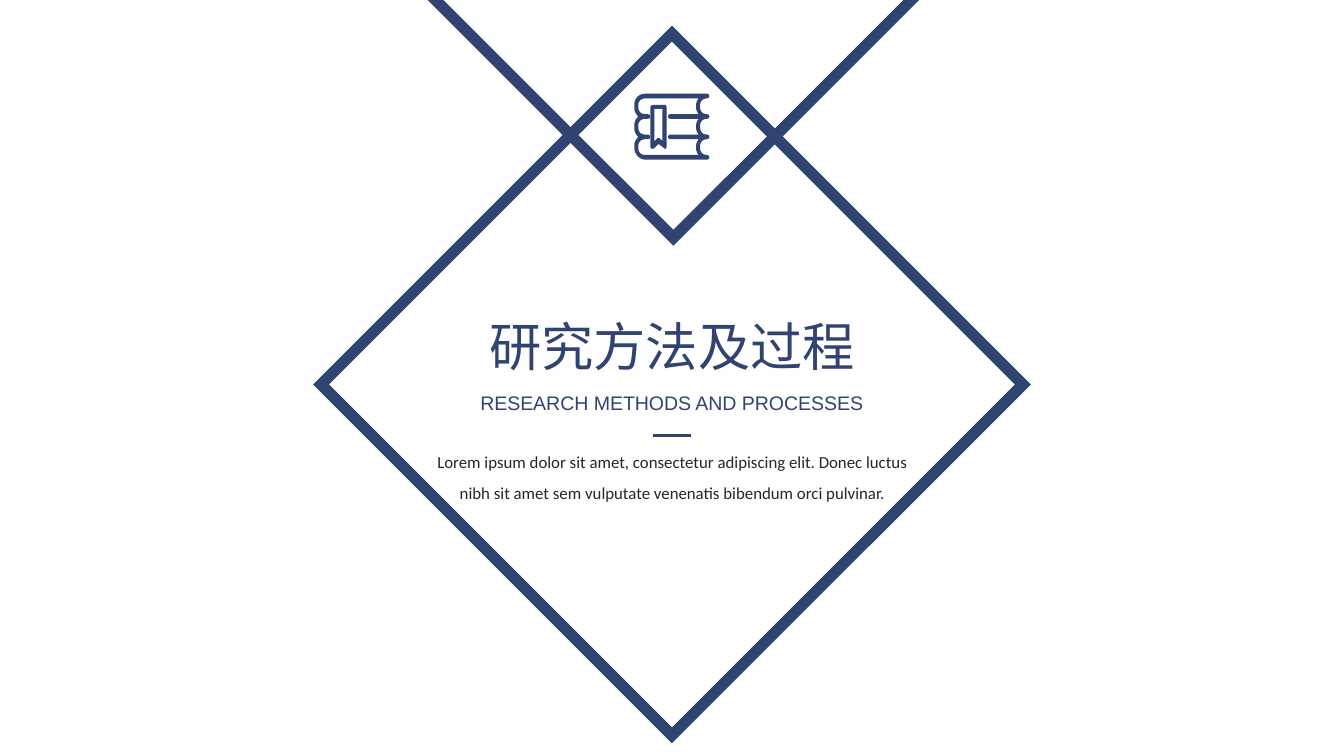
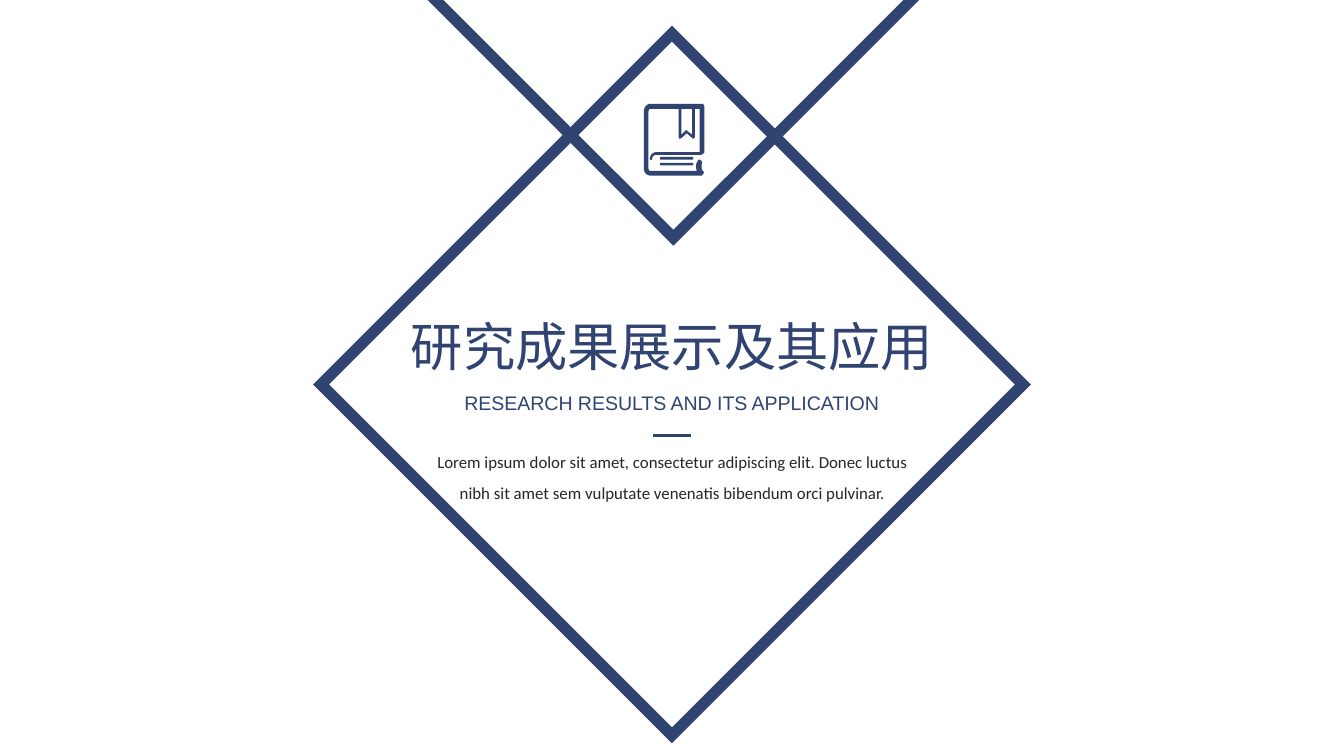
from dataclasses import dataclass

from lxml.etree import SubElement
from pptx import Presentation
from pptx.dml.color import RGBColor
from pptx.enum.shapes import MSO_CONNECTOR, MSO_SHAPE
from pptx.enum.text import MSO_AUTO_SIZE, PP_ALIGN
from pptx.oxml.ns import qn
from pptx.util import Pt

LOREM = ("Lorem ipsum dolor sit amet, consectetur adipiscing elit. Donec luctus "
         "nibh sit amet sem vulputate venenatis bibendum orci pulvinar.")

SECTIONS = [
    {"title": "研究方法及过程", "title_width": 212,
     "subtitle": "RESEARCH METHODS AND PROCESSES", "subtitle_width": 224,
     "body": LOREM, "icon": "books"},
    {"title": "研究成果展示及其应用", "title_width": 297,
     "subtitle": "RESEARCH RESULTS AND ITS APPLICATION", "subtitle_width": 243,
     "body": LOREM, "icon": "notebook"},
]


@dataclass(frozen=True)
class Theme:
    """Colours, fonts, type sizes and line widths of the deck."""
    navy: RGBColor = RGBColor(0x30, 0x43, 0x71)
    ink: RGBColor = RGBColor(0x26, 0x26, 0x26)
    title_font: str = "Noto Sans CJK SC"
    subtitle_font: str = "Arial"
    body_font: str = "Calibri"
    title_size: float = 28
    subtitle_size: float = 10.5
    body_size: float = 9
    frame_width: float = 6
    rule_width: float = 1.5


THEME = Theme()
SLIDE_WIDTH, SLIDE_HEIGHT = 720, 405
CENTRE = SLIDE_WIDTH / 2
DIAMOND_TOP, DIAMOND_SIZE = 18, 376
CHEVRON = [(196.6, -36.7), (524.9, -36.7), (360.75, 127.4)]
RULE_TOP, RULE_LENGTH = 233.3, 20
ICON_UNIT = 0.72
CURVE_STEPS = 6

# Icon outlines: a pair is a corner, six numbers are a cubic curve.
BOOKMARK = [
    [(23, 0), (14, 0), (12, 0, 12, 2, 12, 2), (12, 31), (12, 33, 14, 33, 15, 32),
     (18, 29), (22, 32), (23, 33, 24, 33, 24, 31), (24, 2), (24, 0, 23, 0, 23, 0)],
    [(21, 27), (19, 25), (18.5, 24.5, 17.5, 24.5, 17, 25), (15, 27), (15, 3), (21, 3)],
]
NOTEBOOK = [
    [(43, 38), (44, 37, 45, 37, 45, 36), (45, 2), (45, 1, 44, 0, 43, 0), (5, 0),
     (2, 0, 0, 3, 0, 6), (0, 48), (0, 51, 2, 53.5, 5, 53.5), (43, 53.5),
     (43, 53.5, 44, 53, 44, 52), (45, 52, 45, 51, 44, 50), (43, 49, 43, 48, 43, 47),
     (43, 46, 43, 45, 43, 45), (44, 44, 43, 42, 42, 42), (41, 41, 40, 42, 40, 43),
     (39, 44, 39, 45, 39, 47), (39, 48, 39, 49, 39.5, 50), (5, 50),
     (4, 50, 3.5, 49, 3.5, 48), (3.5, 6), (3.5, 5, 4, 3.75, 5, 3.75), (26, 3.75),
     (26, 25), (26, 25, 26, 26, 27, 26), (27, 26, 27.5, 26, 28, 25.5), (32, 22),
     (36, 25.5), (36.5, 26, 37, 26, 37, 26), (37, 26, 38, 25, 38, 25), (38, 3.75),
     (41.5, 3.75), (41.5, 36), (9, 36), (7, 36, 4.5, 38, 4.5, 41),
     (4.5, 41, 5, 42, 5, 42), (6, 42, 6.25, 41, 6.25, 41),
     (6.25, 39, 8, 38, 9, 38)],
    [(36, 23), (32, 20), (32, 19.5, 31.5, 19.5, 31, 20), (28, 23), (28, 3.75),
     (36, 3.75)],
]


def stacked_books(count=3, top=3.5, opening=11.7, wall=3.5):
    """Return the outer and inner outline of a stack of books."""
    spans = [(top + k * (opening + wall), top + k * (opening + wall) + opening)
             for k in range(count)]
    base = spans[-1][1] + wall
    outer = [(54, spans[-1][1])]
    for upper, lower in reversed(spans):
        outer += [(51, lower, 49, lower - 2, 49, lower - 5), (49, upper + 5),
                  (49, upper + 2, 51, upper, 54, upper),
                  (56.5, upper, 56.5, upper - wall, 54, upper - wall)]
    outer += [(8, 0), (4, 0, 0, 3, 0, 8)]
    for (_, lower), (upper, _) in zip(spans, spans[1:]):
        seam = (lower + upper) / 2
        outer += [(0, lower - 5), (0, seam - 4, 1, seam - 2, 3, seam),
                  (1, seam + 2, 0, seam + 4, 0, upper + 5)]
    outer += [(0, base - 9), (0, base - 4, 4, base, 8, base), (54, base),
              (56.5, base, 56.5, base - wall, 54, base - wall)]

    inner = [(48, top), (8, top)]
    for upper, lower in spans:
        inner += [(5, upper, 3, upper + 2, 3, upper + 5), (3, lower - 5),
                  (3, lower - 2, 5, lower, 8, lower)]
        if lower < spans[-1][1]:
            below = lower + wall
            inner += [(10, lower), (12.5, lower, 12.5, below, 10, below), (8, below)]
    inner.append((48, spans[-1][1]))
    for upper, lower in reversed(spans):
        inner += [(47, lower - 1, 46, lower - 3, 46, lower - 5), (46, upper + 5),
                  (46, upper + 3, 47, upper + 1, 48, upper)]
        if upper > top:
            above = upper - wall
            inner += [(27, upper), (24.5, upper, 24.5, above, 27, above), (48, above)]
    return [outer, inner]


def page_line(length=25, height=2):
    """Return the outline of a short bar with round ends."""
    return [[(length - 1, 0), (1, 0), (-0.3, 0, -0.3, height, 1, height),
             (length - 1, height), (length + 0.3, height, length + 0.3, 0, length - 1, 0)]]


# Each icon part: left and top in points, then its outlines.
ICONS = {
    "books": [(339.8, 50.2, stacked_books()), (339.8, 56.2, BOOKMARK)],
    "notebook": [(353.5, top, page_line()) for top in (84.1, 87.2)]
                + [(344.9, 55.6, NOTEBOOK)],
}


def flatten(outline):
    """Turn corners and cubic curves into a plain list of points."""
    points = []
    for step in outline:
        if len(step) == 2:
            points.append(step)
            continue
        controls = [points[-1], step[:2], step[2:4], step[4:]]
        for i in range(1, CURVE_STEPS + 1):
            t = i / CURVE_STEPS
            weights = ((1 - t) ** 3, 3 * t * (1 - t) ** 2, 3 * t * t * (1 - t), t ** 3)
            points.append(tuple(sum(w * c[axis] for w, c in zip(weights, controls))
                                for axis in (0, 1)))
    return points


def add_outline(shapes, contours):
    """Build one freeform from closed contours given in points."""
    builder = None
    for contour in contours:
        start, *rest = [(Pt(x), Pt(y)) for x, y in contour]
        if builder is None:
            builder = shapes.build_freeform(*start)
        else:
            builder.move_to(*start)
        builder.add_line_segments(rest, close=True)
    shape = builder.convert_to_shape()
    shape.shadow.inherit = False
    return shape


def style_frame(shape):
    """Give a shape the thick, sharp-cornered frame line and no fill."""
    shape.shadow.inherit = False
    shape.fill.background()
    shape.line.color.rgb = THEME.navy
    shape.line.width = Pt(THEME.frame_width)
    SubElement(shape.line._get_or_add_ln(), qn("a:miter"), lim="800000")


def add_icon(slide, parts):
    """Draw the filled parts of an icon as one group."""
    group = slide.shapes.add_group_shape()
    for left, top, outlines in parts:
        contours = [[(left + x * ICON_UNIT, top + y * ICON_UNIT)
                     for x, y in flatten(outline)] for outline in outlines]
        part = add_outline(group.shapes, contours)
        part.fill.solid()
        part.fill.fore_color.rgb = THEME.navy
        part.line.fill.background()


def add_centred_text(slide, text, top, width, height, font, size, color,
                     wrap=False, spacing=None):
    """Add a text box centred on the slide's middle axis."""
    box = slide.shapes.add_textbox(Pt(CENTRE - width / 2), Pt(top), Pt(width), Pt(height))
    frame = box.text_frame
    frame.word_wrap = wrap
    frame.auto_size = MSO_AUTO_SIZE.SHAPE_TO_FIT_TEXT
    paragraph = frame.paragraphs[0]
    paragraph.alignment = PP_ALIGN.CENTER
    if spacing:
        paragraph.line_spacing = spacing
    run = paragraph.add_run()
    run.text = text
    run.font.name = font
    run.font.size = Pt(size)
    run.font.color.rgb = color
    SubElement(run.font._element, qn("a:ea"), typeface=font)


def add_rule(slide):
    """Draw the short rule between subtitle and body."""
    rule = slide.shapes.add_connector(
        MSO_CONNECTOR.STRAIGHT, Pt(CENTRE - RULE_LENGTH / 2), Pt(RULE_TOP),
        Pt(CENTRE + RULE_LENGTH / 2), Pt(RULE_TOP))
    rule.line.color.rgb = THEME.navy
    rule.line.width = Pt(THEME.rule_width)
    SubElement(rule._element.spPr, qn("a:effectLst"))


def add_section(deck, section):
    """Add one section slide."""
    slide = deck.slides.add_slide(deck.slide_layouts[6])
    add_centred_text(slide, section["title"], 165, section["title_width"], 41,
                     THEME.title_font, THEME.title_size, THEME.navy)
    add_centred_text(slide, section["subtitle"], 206, section["subtitle_width"], 20,
                     THEME.subtitle_font, THEME.subtitle_size, THEME.navy)
    add_centred_text(slide, section["body"], 233.3, 275, 40.3, THEME.body_font,
                     THEME.body_size, THEME.ink, wrap=True, spacing=1.5)
    add_rule(slide)
    style_frame(add_outline(slide.shapes, [CHEVRON]))
    style_frame(slide.shapes.add_shape(
        MSO_SHAPE.DIAMOND, Pt(CENTRE - DIAMOND_SIZE / 2), Pt(DIAMOND_TOP),
        Pt(DIAMOND_SIZE), Pt(DIAMOND_SIZE)))
    add_icon(slide, ICONS[section["icon"]])


def main():
    """Build and save the deck."""
    deck = Presentation()
    deck.slide_width, deck.slide_height = Pt(SLIDE_WIDTH), Pt(SLIDE_HEIGHT)
    for section in SECTIONS:
        add_section(deck, section)
    deck.save("out.pptx")


main()
